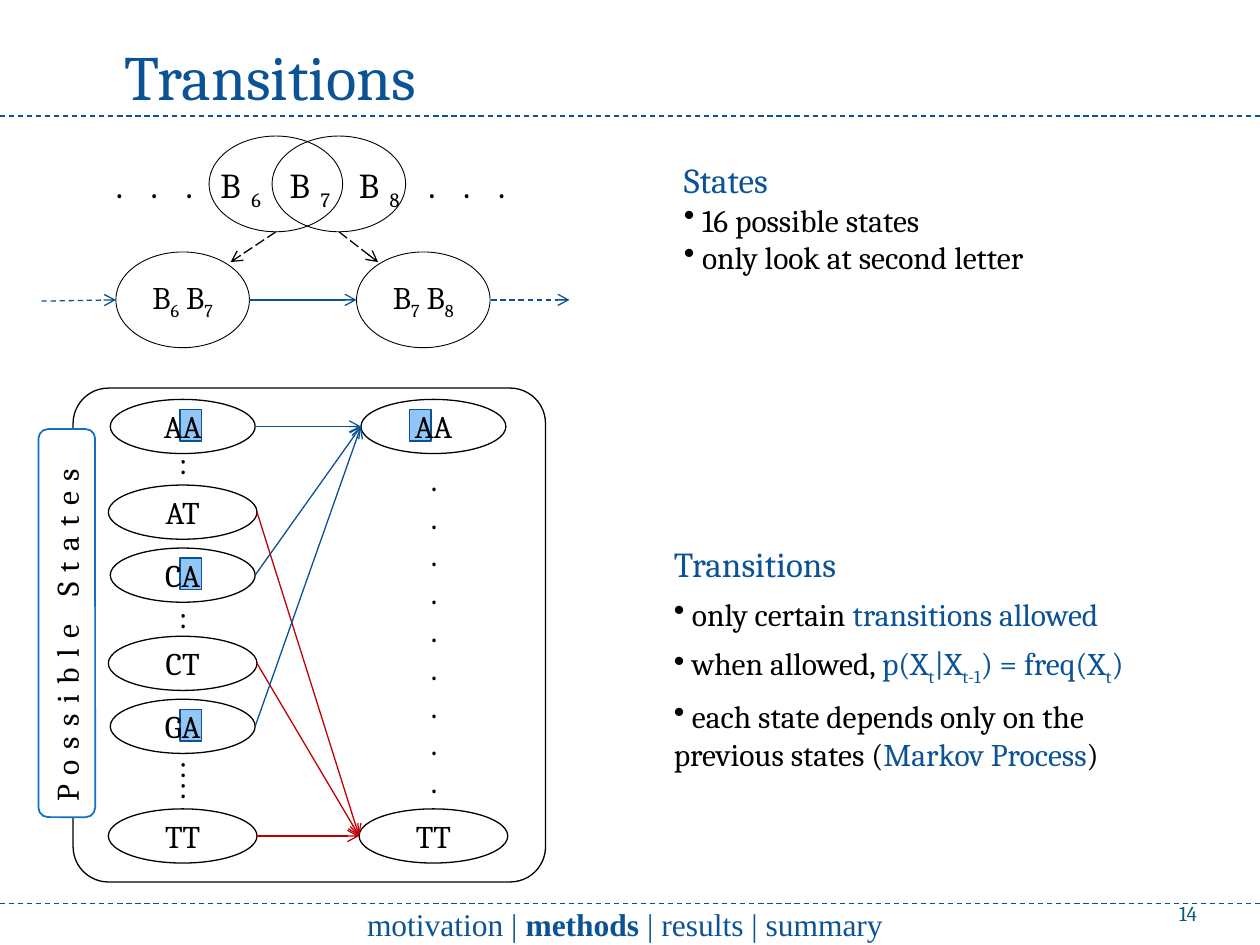
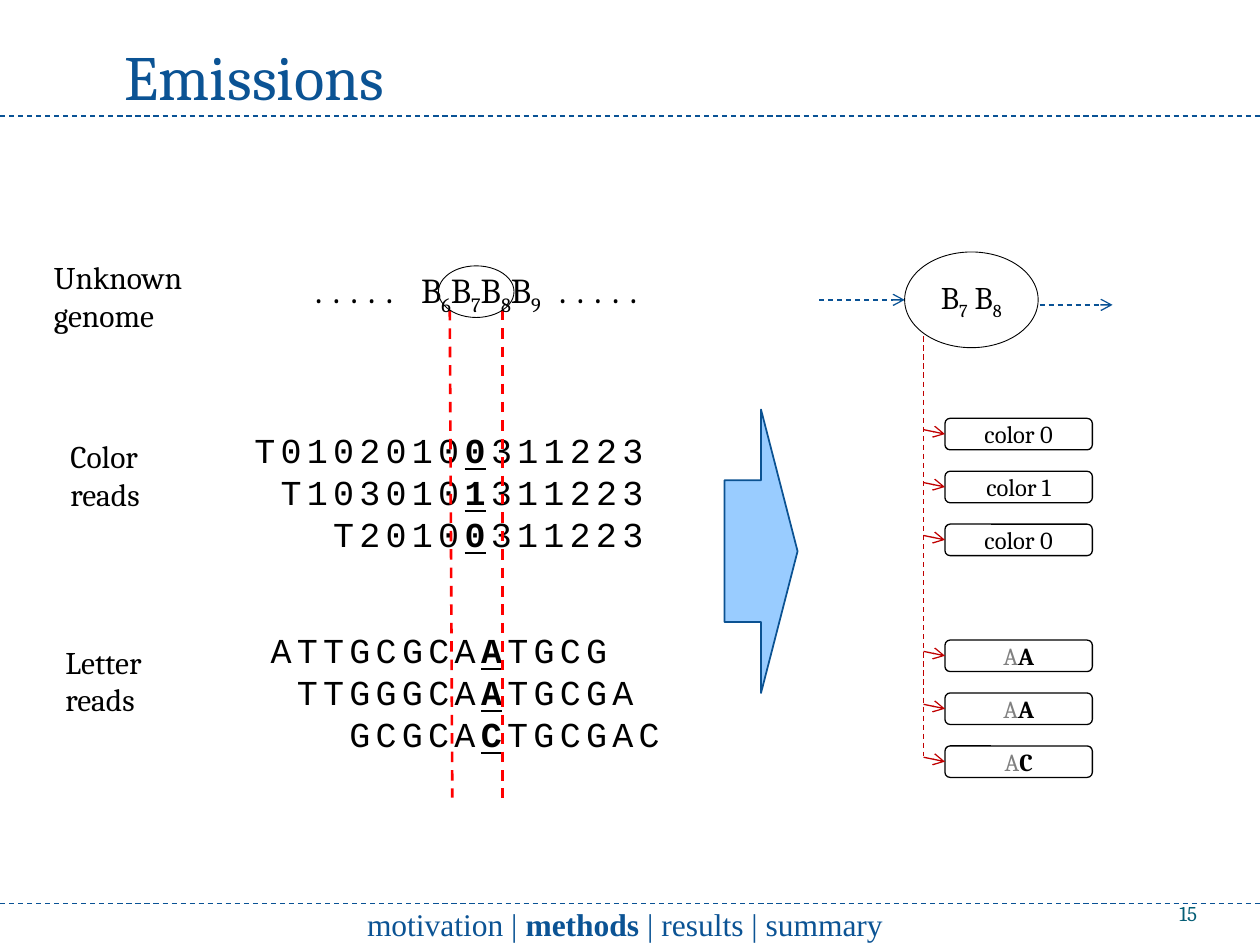
from dataclasses import dataclass

from lxml import etree
from pptx import Presentation
from pptx.dml.color import RGBColor
from pptx.enum.dml import MSO_LINE
from pptx.enum.shapes import MSO_CONNECTOR, MSO_SHAPE
from pptx.enum.text import MSO_ANCHOR, PP_ALIGN
from pptx.oxml.ns import qn
from pptx.util import Inches, Pt

LEFT, CENTER, RIGHT = PP_ALIGN.LEFT, PP_ALIGN.CENTER, PP_ALIGN.RIGHT
TOP, MIDDLE, BOTTOM = MSO_ANCHOR.TOP, MSO_ANCHOR.MIDDLE, MSO_ANCHOR.BOTTOM
DASH, LONG_DASH = MSO_LINE.DASH, MSO_LINE.LONG_DASH
ELLIPSE, RECT, ROUNDED = MSO_SHAPE.OVAL, MSO_SHAPE.RECTANGLE, MSO_SHAPE.ROUNDED_RECTANGLE
STATE, TAB = MSO_SHAPE.FLOWCHART_CONNECTOR, MSO_SHAPE.FLOWCHART_ALTERNATE_PROCESS
BLOCK_ARROW = MSO_SHAPE.RIGHT_ARROW
LEFT_SIDE = 1


@dataclass(frozen=True)
class Theme:
    serif: str = "Cambria"
    mono: str = "Courier New"
    footer_font: str = "Times New Roman"
    title_size: int = 36
    large: int = 20
    body: int = 18
    small: int = 14
    number_size: int = 12
    blue: str = "0B5394"
    rule: str = "095295"
    edge: str = "0B5292"
    tab_edge: str = "0F6FC6"
    number: str = "045D75"
    highlight: str = "91C6F7"
    block: str = "99CCFF"
    black: str = "000000"
    white: str = "FFFFFF"
    grey: str = "808080"
    red: str = "C00000"
    guide: str = "FF0000"


THEME = Theme()


@dataclass
class Para:
    """One paragraph: runs of (text, style), with optional spacing, bullet and indent."""
    runs: list
    before: int = 0
    bullet: bool = False
    indent: float = 0


SUB, BLUE = {"sub": True}, {"color": THEME.blue}
BLUE_SUB = {**SUB, **BLUE}
KEY = {"bold": True, "underline": True}
WIDE = {"spacing": 6}
HEADING = {"size": THEME.large, **BLUE}


def bases(*names):
    """Runs for names such as B6, with the digit lowered."""
    return [run for name in names for run in ((name[:-1], {}), (name[-1], SUB))]


FOOTER = [("motivation | ", {}), ("methods", {"bold": True}), (" | results | summary", {})]

# Transitions
SEQUENCE = [(text, {**style, **WIDE}) for text, style in
            [(". . . ", {}), *bases("B6", " B7", " B8"), (" . . .", {})]]
OVERLAPS = [1.66, 2.16]
SPLIT_ARROWS = [((2.19, 1.84), (1.83, 2.08)), ((2.69, 1.84), (3, 2.08))]
PAIR_NODES = [(0.92, ("B6", " B7")), (2.83, ("B7", " B8"))]
PAIR_ARROWS = [((0.33, 2.39), (0.92, 2.38), DASH), ((1.98, 2.38), (2.83, 2.38), None),
               ((3.9, 2.38), (4.52, 2.38), DASH)]
FROM_STATES = [("AA", 3.17), ("AT", 3.85), ("CA", 4.35), ("CT", 5.05), ("GA", 5.55), ("TT", 6.42)]
TO_STATES = [("AA", 3.17), ("TT", 6.42)]
FROM_CENTER, TO_CENTER, STATE_HEIGHT = 1.45, 3.44, 0.43
STATE_WIDTHS = {"A": 1.15, "T": 1.18}
ROUTE_COLORS = {"A": THEME.rule, "T": THEME.red}
COLON_TOPS = [3.52, 4.74, 5.92, 6.09]
DOT_COUNT = 9
STATES_NOTE = [
    Para([("States", HEADING)]),
    Para([(" 16 possible states", {})], bullet=True),
    Para([(" only look at second letter", {})], bullet=True),
]
TRANSITIONS_NOTE = [
    Para([("Transitions", HEADING)]),
    Para([(" only certain ", {}), ("transitions allowed", BLUE)], 6, True),
    Para([(" when allowed, ", {}), ("p(X", BLUE), ("t", BLUE_SUB), ("|X", BLUE),
          ("t-1", BLUE_SUB), (") = freq(X", BLUE), ("t", BLUE_SUB), (")", BLUE)], 6, True),
    Para([(" each state depends only on the previous states (", {}),
          ("Markov Process", BLUE), (")", {})], 6, True),
]

# Emissions
GENOME = [("..... ", WIDE), *bases("B6", "B7", "B8", "B9"), (" .....", WIDE)]
ROW_LABELS = [
    (0.33, 2, 1.34, ("Unknown", "genome")),
    (0.46, 3.42, 0.86, ("Color", "reads")),
    (0.42, 5.05, 0.91, ("Letter", "reads")),
]
# each read: columns skipped, before, key letter, after
READS = [
    (1.92, 3.35, [(0, "T0102010", "0", "311223"), (1, "T103010", "1", "311223"),
                  (3, "T2010", "0", "311223")]),
    (2.05, 4.94, [(0, "ATTGCGCA", "A", "TGCG"), (1, "TTGGGCA", "A", "TGCGA"),
                  (3, "GCGCA", "C", "TGCGAC")]),
]
READ_SPACING = 3
READ_COLUMN = (0.6 * THEME.large + READ_SPACING) / 72
GUIDES = [((3.57, 2.46), (3.59, 6.33)), ((3.99, 2.46), (3.99, 6.33))]
EMISSION_STEP, SPINE = 0.42, 7.33
EMISSIONS = [
    (3.32, [[("color 0", {})], [("color 1", {})], [("color 0", {})]]),
    (5.08, [[("A", {"color": THEME.grey}), (letter, {"bold": True})] for letter in "AAC"]),
]


def rgb(value):
    return RGBColor.from_string(value)


def box(left, top, width, height):
    return [Inches(value) for value in (left, top, width, height)]


def write(frame, paragraphs, align=LEFT, anchor=TOP, inset=None, **base):
    """Fill a text frame; base gives the style that runs may override."""
    frame.word_wrap, frame.vertical_anchor = True, anchor
    if inset is not None:
        frame.margin_left = frame.margin_right = Inches(inset)
        frame.margin_top = frame.margin_bottom = Inches(inset)
    base = {"font": THEME.serif, "size": THEME.body, "color": THEME.black, **base}
    for index, content in enumerate(paragraphs):
        paragraph = frame.add_paragraph() if index else frame.paragraphs[0]
        properties = paragraph._p.get_or_add_pPr()
        if content.indent:
            properties.set("marL", str(Inches(content.indent)))
            properties.set("indent", "0")
        if content.bullet:
            etree.SubElement(properties, qn("a:buChar")).set("char", "•")
        paragraph.alignment = align
        if content.before:
            paragraph.space_before = Pt(content.before)
        for text, overrides in content.runs:
            style = {**base, **overrides}
            run = paragraph.add_run()
            run.text = text
            run.font.name, run.font.size = style["font"], Pt(style["size"])
            run.font.color.rgb = rgb(style["color"])
            run.font.bold = style.get("bold", False)
            run.font.underline = style.get("underline", False)
            character = run._r.get_or_add_rPr()
            if "spacing" in style:
                character.set("spc", str(style["spacing"] * 100))
            if "sub" in style:
                character.set("baseline", "-25000")


def add_text(slide, place, paragraphs, **options):
    write(slide.shapes.add_textbox(*box(*place)).text_frame, paragraphs, **options)


def add_figure(slide, kind, place, line=THEME.black, weight=0.75, fill=None):
    figure = slide.shapes.add_shape(kind, *box(*place))
    figure.shadow.inherit = False
    if fill:
        figure.fill.solid()
        figure.fill.fore_color.rgb = rgb(fill)
    else:
        figure.fill.background()
    figure.line.color.rgb, figure.line.width = rgb(line), Pt(weight)
    return figure


def add_line(slide, start, end, color=THEME.rule, weight=0.75, dash=None, arrow=False):
    line = slide.shapes.add_connector(
        MSO_CONNECTOR.STRAIGHT, *[Inches(value) for value in (*start, *end)])
    line.line.color.rgb, line.line.width = rgb(color), Pt(weight)
    if dash:
        line.line.dash_style = dash
    if arrow:
        etree.SubElement(line.line._get_or_add_ln(), qn("a:tailEnd")).set("type", "arrow")
    etree.SubElement(line._element.spPr, qn("a:effectLst"))
    return line


def add_base_slide(deck, title, title_width, number):
    """Slide with title, rules, section footer and number."""
    slide = deck.slides.add_slide(deck.slide_layouts[5])
    heading = slide.shapes.title
    heading.left, heading.top, heading.width, heading.height = box(0.89, 0.25, title_width, 0.71)
    write(heading.text_frame, [Para([(title, {})])], size=THEME.title_size, color=THEME.blue)
    for y in (0.92, 7.17):
        add_line(slide, (0, y), (10, y), dash=DASH)
    add_text(slide, (2.42, 7.17, 5.08, 0.33), [Para(FOOTER)], align=CENTER, anchor=MIDDLE,
             font=THEME.footer_font, color=THEME.blue)
    add_text(slide, (8.67, 6.95, 0.83, 0.4), [Para([(str(number), {})])], align=RIGHT,
             anchor=BOTTOM, inset=0, size=THEME.number_size, color=THEME.number)
    return slide


def add_pair_node(slide, left, names):
    node = add_figure(slide, ELLIPSE, (left, 2, 1.06, 0.76), weight=0.5)
    write(node.text_frame, [Para(bases(*names))], align=CENTER, anchor=MIDDLE)


def add_state(slide, name, center, top):
    """Draw a state and return the middles of its left and right sides."""
    width = STATE_WIDTHS[name[-1]]
    left, middle = center - width / 2, top + STATE_HEIGHT / 2
    state = add_figure(slide, STATE, (left, top, width, STATE_HEIGHT))
    write(state.text_frame, [Para([(name, {})])], align=CENTER, inset=0)
    return (left, middle), (left + width, middle)


def add_state_diagram(slide):
    marks = [(1.43, top) for name, top in FROM_STATES if name[1] == "A"]
    marks += [(3.25, top) for name, top in TO_STATES if name[0] == "A"]
    for left, top in marks:
        add_figure(slide, RECT, (left, top + 0.08, 0.17, 0.25), THEME.edge, 1, THEME.highlight)
    exits = {name: add_state(slide, name, FROM_CENTER, top)[1] for name, top in FROM_STATES}
    entries = {name: add_state(slide, name, TO_CENTER, top)[0] for name, top in TO_STATES}
    for source, start in exits.items():
        for target, end in entries.items():
            if source[1] == target[0]:
                add_line(slide, start, end, ROUTE_COLORS[target[0]], arrow=True)
    for top in COLON_TOPS:
        add_text(slide, (1.24, top, 0.43, 0.3), [Para([(":", {})])], align=CENTER, inset=0)
    add_text(slide, (3.23, 3.65, 0.43, 2.73), [Para([(".", {})])] * DOT_COUNT,
             align=CENTER, inset=0)
    frame = add_figure(slide, ROUNDED, (0.58, 3.08, 3.75, 3.92))
    frame.adjustments[0] = 0.075
    tab = add_figure(slide, TAB, (-1.01, 4.72, 3.08, 0.45), THEME.tab_edge, 1, THEME.white)
    tab.rotation = 270
    write(tab.text_frame, [Para([("Possible States", WIDE)])])


def build_transitions(deck):
    slide = add_base_slide(deck, "Transitions", 2.65, 14)
    add_text(slide, (0.67, 1.25, 3.59, 0.44), [Para(SEQUENCE)], align=CENTER, size=THEME.large)
    for left in OVERLAPS:
        add_figure(slide, ELLIPSE, (left, 1.08, 1.06, 0.76), weight=0.5)
    for start, end in SPLIT_ARROWS:
        add_line(slide, start, end, THEME.black, dash=LONG_DASH, arrow=True)
    for left, names in PAIR_NODES:
        add_pair_node(slide, left, names)
    for start, end, dash in PAIR_ARROWS:
        add_line(slide, start, end, dash=dash, arrow=True)
    add_state_diagram(slide)
    add_text(slide, (5.33, 1.21, 3.58, 1.04), STATES_NOTE)
    add_text(slide, (5.25, 4.26, 4.33, 1.9), TRANSITIONS_NOTE)


def build_emissions(deck):
    slide = add_base_slide(deck, "Emissions", 2.4, 15)
    for left, top, reads in READS:
        rows = [Para([(before, {}), (key, KEY), (after, {})], indent=skipped * READ_COLUMN)
                for skipped, before, key, after in reads]
        add_text(slide, (left, top, 3.36, 1.11), rows, font=THEME.mono, size=THEME.large,
                 spacing=READ_SPACING)
    for left, top, width, words in ROW_LABELS:
        add_text(slide, (left, top, width, 0.71), [Para([(word, {})]) for word in words])
    for start, end in GUIDES:
        add_line(slide, start, end, THEME.guide, 1.5, DASH)
    add_text(slide, (2.21, 2.08, 3.14, 0.44), [Para(GENOME)], align=CENTER, size=THEME.large)
    add_figure(slide, ELLIPSE, (3.48, 2.11, 0.6, 0.41), weight=0.5)
    add_figure(slide, BLOCK_ARROW, (5.75, 3.25, 0.58, 2.25), THEME.edge, 1, THEME.block)

    add_pair_node(slide, 7.18, ("B7", " B8"))
    add_line(slide, (6.5, 2.38), (7.18, 2.38), dash=DASH, arrow=True)
    add_line(slide, (8.25, 2.42), (8.83, 2.42), dash=DASH, arrow=True)
    add_line(slide, (SPINE, 2.67), (SPINE, 6), THEME.red, dash=DASH)
    for first_top, outcomes in EMISSIONS:
        for row, runs in enumerate(outcomes):
            top = first_top + row * EMISSION_STEP
            outcome = add_figure(slide, ROUNDED, (7.5, top, 1.17, 0.25), fill=THEME.white)
            write(outcome.text_frame, [Para(runs)], align=CENTER, anchor=MIDDLE,
                  size=THEME.small)
            branch = add_line(slide, (SPINE, top + 0.09), (7.5, top + 0.13), THEME.red,
                              arrow=True)
            branch.end_connect(outcome, LEFT_SIDE)


def main():
    deck = Presentation()
    deck.slide_width, deck.slide_height = Inches(10), Inches(7.5)
    build_transitions(deck)
    build_emissions(deck)
    deck.save("out.pptx")


if __name__ == "__main__":
    main()
